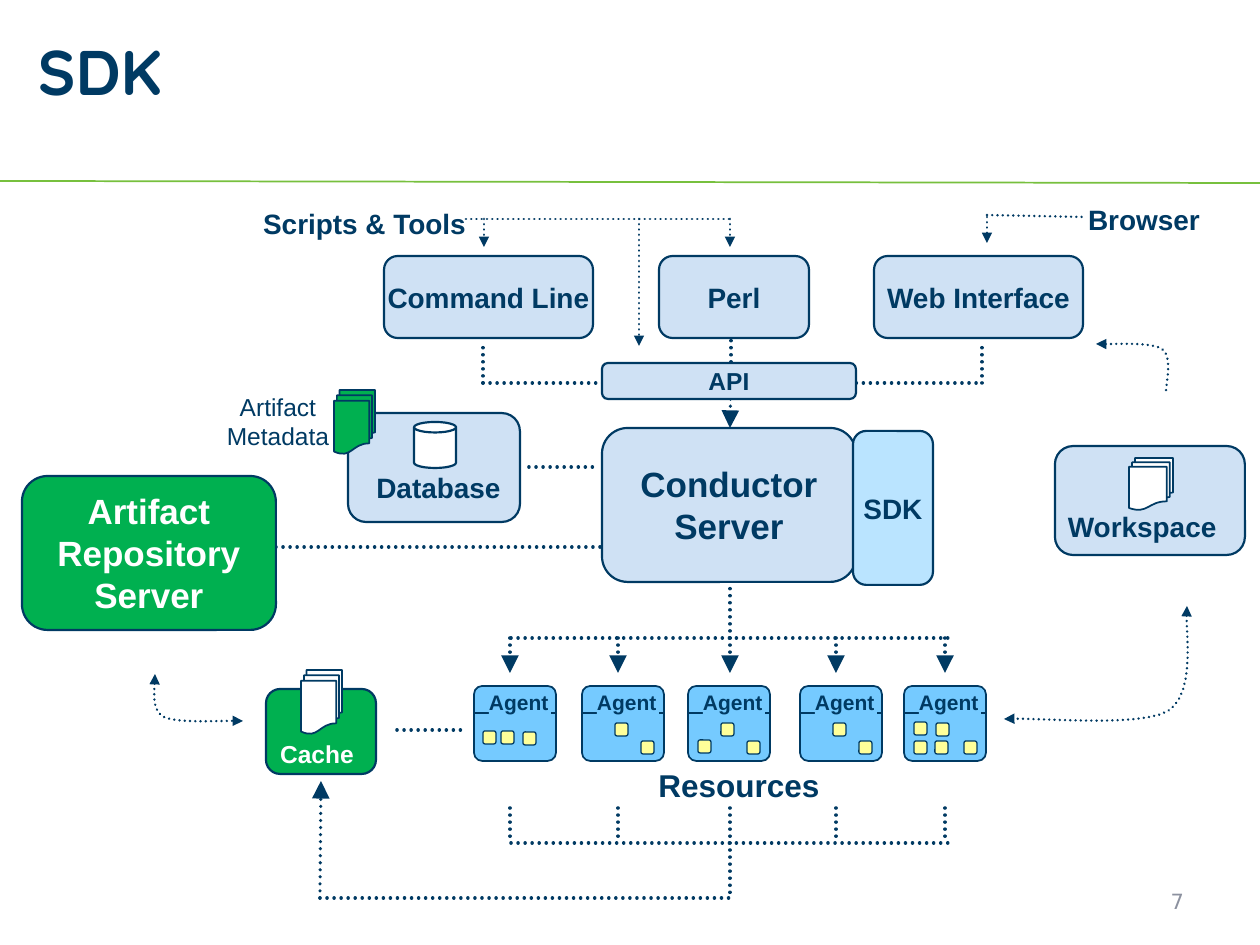
from pptx import Presentation
from pptx.dml.color import RGBColor
from pptx.enum.dml import MSO_LINE
from pptx.enum.shapes import MSO_CONNECTOR, MSO_SHAPE as Kind
from pptx.enum.text import MSO_ANCHOR as Anchor, PP_ALIGN as Align
from pptx.oxml.ns import qn
from pptx.util import Pt
from lxml.etree import SubElement

PX = 914400 / 126
NAVY, PALE, SKY, GREEN, WHITE = "003A63", "CFE1F4", "75CAFF", "00B050", "FFFFFF"
rgb = RGBColor.from_string

prs = Presentation()
prs.slide_width, prs.slide_height = round(1260 * PX), round(945 * PX)
shapes = prs.slides.add_slide(prs.slide_layouts[6]).shapes


def box(kind, place, text="", size=16, fill=None, line=None, color=NAVY, bold=True,
        font="Arial", align=Align.CENTER, anchor=Anchor.MIDDLE, pad=0, wrap=False, adj=None):
    """Add a shape, or a text box when kind is None."""
    at = [round(v * PX) for v in place]
    if kind is None:
        shape = shapes.add_textbox(*at)
    else:
        shape = shapes.add_shape(kind, *at)
        shape.shadow.inherit = False
        shape.fill.solid()
        shape.fill.fore_color.rgb = rgb(fill)
        if line:
            shape.line.color.rgb = rgb(NAVY)
            shape.line.width = Pt(line)
        else:
            shape.line.fill.background()
        if adj:
            shape.adjustments[0] = adj
    if not text:
        return
    frame = shape.text_frame
    side, top = round(pad * PX), round(pad * PX / 2)
    look = dict(text=text, word_wrap=wrap, vertical_anchor=anchor, margin_left=side,
                margin_right=side, margin_top=top, margin_bottom=top)
    for name, value in look.items():
        setattr(frame, name, value)
    for par in frame.paragraphs:
        par.alignment = align
        for name, value in dict(name=font, size=Pt(size), bold=bold).items():
            setattr(par.font, name, value)
        par.font.color.rgb = rgb(color)


def wire(pts, width=2, ends="", color=NAVY, dots=True):
    """Join points; ends holds h and t for arrowheads at the start and the finish."""
    pts = [(round(x * PX), round(y * PX)) for x, y in pts]
    if len(pts) == 2:
        item = shapes.add_connector(MSO_CONNECTOR.STRAIGHT, *pts[0], *pts[1])
    else:
        pen = shapes.build_freeform(*pts[0])
        pen.add_line_segments(pts[1:], close=False)
        item = pen.convert_to_shape()
        item.fill.background()
    item.line.color.rgb = rgb(color)
    item.line.width = Pt(width)
    props = item._element.spPr
    edge = props.find(qn("a:ln"))
    if dots:
        item.line.dash_style = MSO_LINE.ROUND_DOT
        edge.set("cap", "rnd")
    span = "lg" if width == 2 else "med"
    for key, tag in (("h", "a:headEnd"), ("t", "a:tailEnd")):
        if key in ends:
            SubElement(edge, qn(tag), type="triangle", w=span, len=span)
    SubElement(props, qn("a:effectLst"))


# Title, rule and page number
wire([(0, 181), (1260, 183)], 1, color="77C03E", dots=False)
box(None, (25, 26, 1024, 88), "SDK", 36, font="Quicksand", align=Align.LEFT,
    anchor=Anchor.TOP, pad=13, wrap=True)
box(None, (903, 876, 294, 50), "7", 12, color="8C919F", bold=False, font="DejaVu Sans",
    align=Align.RIGHT, pad=13, wrap=True)

# Straight links: x1, y1, x2, y2, arrowheads
heavy = [
    (731, 383, 731, 339, ""), (731, 378, 730, 428, "t"), (483, 383, 483, 341, ""),
    (982, 383, 982, 346, ""), (483, 383, 983, 383, ""), (529, 467, 595, 467, ""),
    (276, 547, 602, 547, ""), (397, 730, 462, 730, ""), (730, 638, 730, 582, ""),
    (511, 638, 948, 638, ""), (511, 843, 948, 843, ""), (730, 843, 730, 898, ""),
    (320, 898, 732, 898, ""), (320, 898, 321, 781, "t"),
]
for x in (510, 618, 730, 836, 945):
    heavy += [(x, 638, x, 673, "t"), (x, 808, x, 843, "")]
thin = [(987, 215, 1084, 217, ""), (987, 217, 987, 243, "t"), (466, 219, 730, 219, "")]
thin += [(x, 219, x, y, "t") for x, y in ((484, 247), (730, 247), (639, 346))]
for width, links in ((2, heavy), (1.5, thin)):
    for x1, y1, x2, y2, ends in links:
        wire([(x1, y1), (x2, y2)], width, ends)

# Curved links: two joined cubic curves each
curves = [
    ("h", [(1096, 344), (1106, 345), (1149, 341), (1162, 349),
           (1173, 357), (1166, 383), (1166, 392)]),
    ("ht", [(1187, 606), (1184, 624), (1198, 692), (1168, 711),
            (1138, 728), (1038, 717), (1004, 719)]),
    ("ht", [(155, 674), (156, 684), (149, 709), (164, 717),
            (179, 724), (227, 720), (243, 721)]),
]
STEPS = 12
for ends, knots in curves:
    track = [knots[0]]
    for first in (0, 3):
        a, b, c, d = knots[first:first + 4]
        for step in range(1, STEPS + 1):
            t = step / STEPS
            u = 1 - t
            track.append([u**3 * p + 3 * u * u * t * q + 3 * u * t * t * r + t**3 * s
                          for p, q, r, s in zip(a, b, c, d)])
    wire(track, 1.5, ends)

# Main blocks
blocks = [
    ((384, 256, 209, 82), "Command Line", 16, PALE, NAVY),
    ((659, 256, 150, 82), "Perl", 16, PALE, NAVY),
    ((874, 256, 209, 82), "Web Interface", 16, PALE, NAVY),
    ((602, 363, 254, 36), "API", 14, PALE, NAVY),
    ((602, 428, 254, 154), "Conductor\vServer", 20, PALE, NAVY),
    ((853, 431, 80, 154), "SDK", 16, "BAE4FF", NAVY),
    ((22, 476, 254, 154), "Artifact\nRepository\vServer", 20, GREEN, WHITE),
    ((348, 413, 172, 109), "", 16, PALE, NAVY),
    ((1055, 446, 190, 109), "", 16, PALE, NAVY),
    ((266, 689, 110, 85), "", 14, GREEN, WHITE),
]
for place, text, size, fill, color in blocks:
    box(Kind.ROUNDED_RECTANGLE, place, text, size, fill, 1.25, color)

# Database drum and document stacks
box(Kind.CAN, (414, 422, 42, 46), fill=WHITE, line=1.25)
for place, fill in (((1129, 458, 44, 52), WHITE), ((334, 390, 41, 64), GREEN),
                    ((301, 670, 41, 64), WHITE)):
    box(Kind.FLOWCHART_MULTIDOCUMENT, place, fill=fill, line=1)

# Free labels
labels = [
    ((1087, 203, 114, 34), "Browser", 16, {}),
    ((262, 207, 205, 34), "Scripts & Tools", 16, {}),
    ((658, 766, 162, 38), "Resources", 18, {}),
    ((363, 464, 151, 47), "Database", 16, dict(pad=13)),
    ((1055, 503, 214, 47), "Workspace", 16, dict(pad=13, align=Align.LEFT, wrap=True)),
    ((267, 733, 100, 43), "Cache", 14, dict(pad=13, color=WHITE)),
    ((214, 392, 128, 60), "Artifact\nMetadata", 14, dict(bold=False)),
]
for place, text, size, look in labels:
    box(None, place, text, size, anchor=Anchor.TOP, **look)

# Agents, each with the spots of its running jobs
agents = {
    474: [(27, 731), (9, 731), (49, 732)],
    582: [(33, 723), (59, 741)],
    688: [(33, 723), (10, 740), (59, 741)],
    800: [(33, 723), (59, 741)],
    904: [(32, 723), (10, 741), (60, 741), (10, 722), (31, 741)],
}
for x, jobs in agents.items():
    box(Kind.ROUNDED_RECTANGLE, (x, 686, 82, 75), fill=SKY, line=1, adj=0.11)
    wire([(x, 713), (x + 82, 713)], 1, dots=False)
    box(Kind.RECTANGLE, (x + 15, 690, 62, 25), "Agent", 12, SKY, align=Align.LEFT,
        anchor=Anchor.TOP)
    for dx, y in jobs:
        box(Kind.ROUNDED_RECTANGLE, (x + dx, y, 13, 13), fill="FFFF99", line=0.75)

prs.save("out.pptx")
